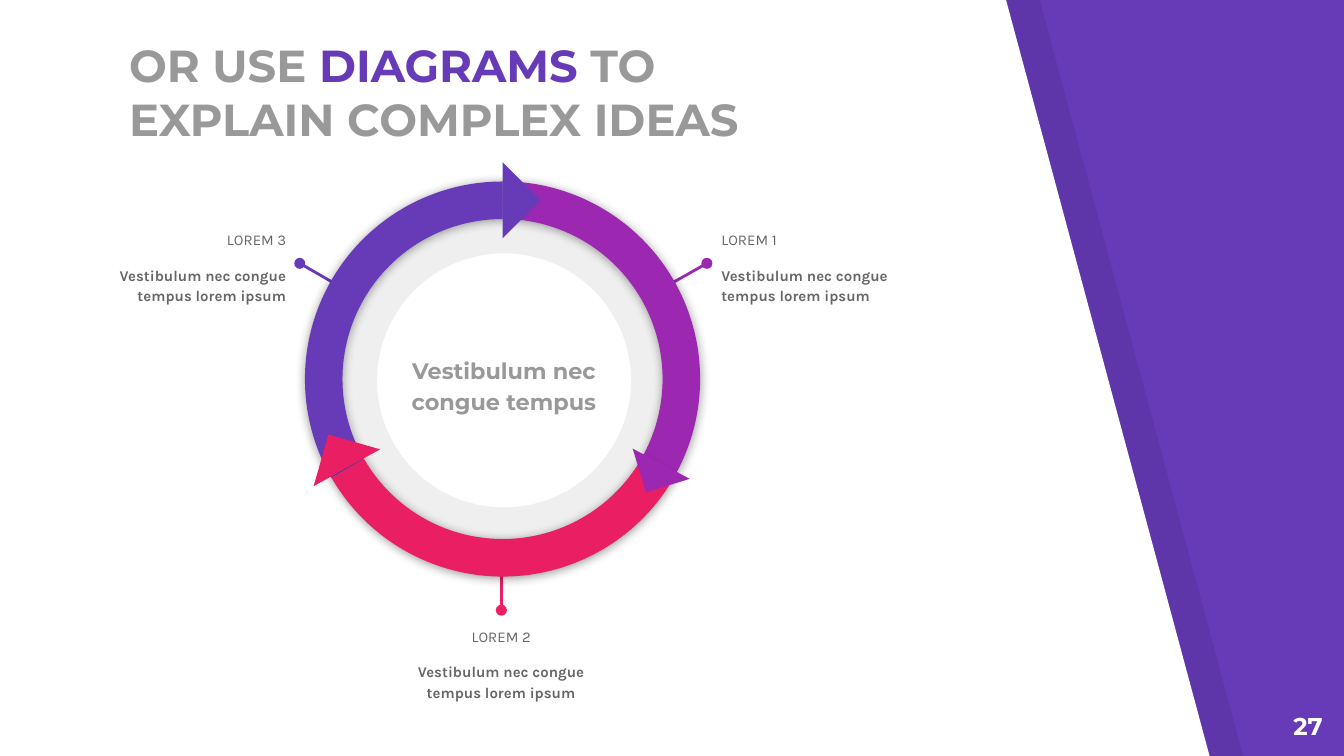
import dataclasses
import typing

import lxml.etree
import pptx
import pptx.dml.color
import pptx.enum.shapes
import pptx.enum.text
import pptx.oxml.ns
import pptx.util

Pt = pptx.util.Pt
qn = pptx.oxml.ns.qn
Align = pptx.enum.text.PP_ALIGN
Anchor = pptx.enum.text.MSO_ANCHOR
Preset = pptx.enum.shapes.MSO_SHAPE


@dataclasses.dataclass(frozen=True)
class Theme:
    violet: str = "673AB7"
    purple: str = "9C27B0"
    pink: str = "E91E63"
    heading_grey: str = "999999"
    text_grey: str = "666666"
    ring_grey: str = "EFEFEF"
    white: str = "FFFFFF"
    black: str = "000000"
    heading_font: str = "Montserrat"
    body_font: str = "Karla"
    title_size: float = 24
    number_size: float = 13
    center_size: float = 12
    label_size: float = 8


class Callout(typing.NamedTuple):
    heading: str
    color: str
    dot: tuple[float, float]
    ring_end: tuple[float, float]
    box_corner: tuple[float, float]
    align: Align


class Arc(typing.NamedTuple):
    color: str
    rotation: float


class ArrowTip(typing.NamedTuple):
    color: str
    left: float
    top: float
    size: float
    rotation: float


THEME = Theme()
WIDTH, HEIGHT = 720, 405
BODY = "Vestibulum nec congue tempus lorem ipsum"

CALLOUTS = [
    Callout("LOREM 3", THEME.violet, (160.6, 141.1), (194.4, 160.6), (42.5, 115.2), Align.RIGHT),
    Callout("LOREM 1", THEME.purple, (378.7, 141.1), (344.2, 160.6), (379.4, 115.2), Align.LEFT),
    Callout("LOREM 2", THEME.pink, (268.6, 326.9), (268.6, 290.2), (209.5, 327.6), Align.CENTER),
]

# Back to front: each tip overlaps the start of the next arc
CYCLE = [
    Arc(THEME.purple, 30),
    Arc(THEME.violet, 270),
    ArrowTip(THEME.violet, 254.9, 92.9, 28.8, 225),
    Arc(THEME.pink, 150),
    ArrowTip(THEME.purple, 342, 236.2, 24.5, 342.9),
    ArrowTip(THEME.pink, 171.4, 236.2, 28.8, 106),
]


def rgb(color: str) -> pptx.dml.color.RGBColor:
    return pptx.dml.color.RGBColor.from_string(color)


def paint(shape, color: str) -> None:
    shape.fill.solid()
    shape.fill.fore_color.rgb = rgb(color)
    shape.line.fill.background()
    shape.shadow.inherit = False


def set_alpha(color_element, percent: float) -> None:
    alpha = lxml.etree.SubElement(color_element, qn("a:alpha"))
    alpha.set("val", str(int(percent * 1000)))


def add_text(para, text: str, *, size: float, color: str, font: str, bold: bool = False) -> None:
    span = para.add_run()
    span.text = text
    span.font.size = Pt(size)
    span.font.name = font
    span.font.bold = bold
    span.font.color.rgb = rgb(color)


def set_frame(frame, anchor: Anchor = Anchor.TOP) -> None:
    frame.word_wrap = True
    frame.auto_size = pptx.enum.text.MSO_AUTO_SIZE.NONE
    frame.vertical_anchor = anchor
    frame.margin_left = frame.margin_right = Pt(7.2)
    frame.margin_top = frame.margin_bottom = Pt(7.2)


def add_box(shapes, left: float, top: float, width: float, height: float,
            align: Align, anchor: Anchor = Anchor.TOP):
    box = shapes.add_textbox(Pt(left), Pt(top), Pt(width), Pt(height))
    set_frame(box.text_frame, anchor)
    box.text_frame.paragraphs[0].alignment = align
    return box.text_frame


def add_panel(page, left: float, color: str):
    """Slanted panel whose right edge runs from 539 pt at the top to 648 pt."""
    builder = page.shapes.build_freeform(left, 0, scale=float(Pt(1)))
    builder.add_line_segments([(left, HEIGHT), (left + 648, HEIGHT), (left + 539, 0)])
    panel = builder.convert_to_shape()
    paint(panel, color)
    page.shapes.title.element.addprevious(panel.element)
    return panel


def add_callout(page, callout: Callout) -> None:
    shapes = page.shapes.add_group_shape().shapes
    line = shapes.add_connector(
        pptx.enum.shapes.MSO_CONNECTOR.STRAIGHT,
        *(Pt(value) for value in callout.dot + callout.ring_end))
    line.line.color.rgb = rgb(callout.color)
    line.line.width = Pt(1.5)
    properties = line.element.spPr
    head = lxml.etree.SubElement(properties.find(qn("a:ln")), qn("a:headEnd"))
    head.set("type", "oval")
    lxml.etree.SubElement(properties, qn("a:effectLst"))

    frame = add_box(shapes, *callout.box_corner, 118.1, 52.6, callout.align)
    heading, body = frame.paragraphs[0], frame.add_paragraph()
    body.alignment = callout.align
    body.space_before = Pt(8)
    for para, text in ((heading, callout.heading), (body, BODY)):
        para.line_spacing = 1.15
        add_text(para, text, size=THEME.label_size, color=THEME.text_grey,
                 font=THEME.body_font, bold=para is body)


def add_arc(page, arc: Arc) -> None:
    shape = page.shapes.add_shape(Preset.BLOCK_ARC, Pt(163.4), Pt(97.2), Pt(211.7), Pt(211.7))
    # 144 stands for 240 degrees, so each arc spans a third of the circle
    for index, value in enumerate((144, 0, 0.095)):
        shape.adjustments[index] = value
    shape.rotation = arc.rotation
    paint(shape, arc.color)
    effects = shape.element.spPr.find(qn("a:effectLst"))
    shadow = lxml.etree.SubElement(effects, qn("a:outerShdw"))
    for name, value in (("blurRad", Pt(5.6)), ("dist", Pt(0.8)),
                        ("dir", 90 * 60000), ("rotWithShape", 0)):
        shadow.set(name, str(int(value)))
    color = lxml.etree.SubElement(shadow, qn("a:srgbClr"))
    color.set("val", THEME.black)
    set_alpha(color, 40)


def add_tip(page, tip: ArrowTip) -> None:
    shape = page.shapes.add_shape(Preset.RIGHT_TRIANGLE, Pt(tip.left), Pt(tip.top),
                                  Pt(tip.size), Pt(tip.size))
    shape.rotation = tip.rotation
    paint(shape, tip.color)


def main() -> None:
    deck = pptx.Presentation()
    deck.slide_width, deck.slide_height = Pt(WIDTH), Pt(HEIGHT)
    page = deck.slides.add_slide(deck.slide_layouts[5])

    # Background and slanted panels
    page.background.fill.solid()
    page.background.fill.fore_color.rgb = rgb(THEME.violet)
    shade = add_panel(page, 18, THEME.black)
    set_alpha(shade.element.spPr.find(qn("a:solidFill"))[0], 7)
    add_panel(page, 0, THEME.white)

    # Title
    title = page.shapes.title
    title.left, title.top, title.width, title.height = Pt(61.9), Pt(52.6), Pt(378), Pt(32.4)
    set_frame(title.text_frame, Anchor.BOTTOM)
    para = title.text_frame.paragraphs[0]
    para.alignment = Align.LEFT
    for text, color in (("OR USE ", THEME.heading_grey), ("DIAGRAMS", THEME.violet),
                        (" TO EXPLAIN COMPLEX IDEAS", THEME.heading_grey)):
        add_text(para, text, size=THEME.title_size, color=color,
                 font=THEME.heading_font, bold=True)

    # Page number
    number = add_box(page.shapes, 672.5, 373.7, 43.2, 31, Align.RIGHT)
    add_text(number.paragraphs[0], "27", size=THEME.number_size, color=THEME.white,
             font=THEME.heading_font, bold=True)

    # Inner ring, callouts and centre text
    ring = page.shapes.add_shape(Preset.DONUT, Pt(169.9), Pt(103.7), Pt(200.2), Pt(200.2))
    ring.adjustments[0] = 0.16
    paint(ring, THEME.ring_grey)
    for callout in CALLOUTS:
        add_callout(page, callout)
    center = add_box(page.shapes, 213.1, 174.2, 113.8, 63.4, Align.CENTER, Anchor.MIDDLE)
    center.paragraphs[0].line_spacing = 1.15
    add_text(center.paragraphs[0], "Vestibulum nec congue tempus", size=THEME.center_size,
             color=THEME.heading_grey, font=THEME.heading_font, bold=True)

    # Cycle of arrows
    for part in CYCLE:
        if isinstance(part, Arc):
            add_arc(page, part)
        else:
            add_tip(page, part)

    deck.save("out.pptx")


if __name__ == "__main__":
    main()
